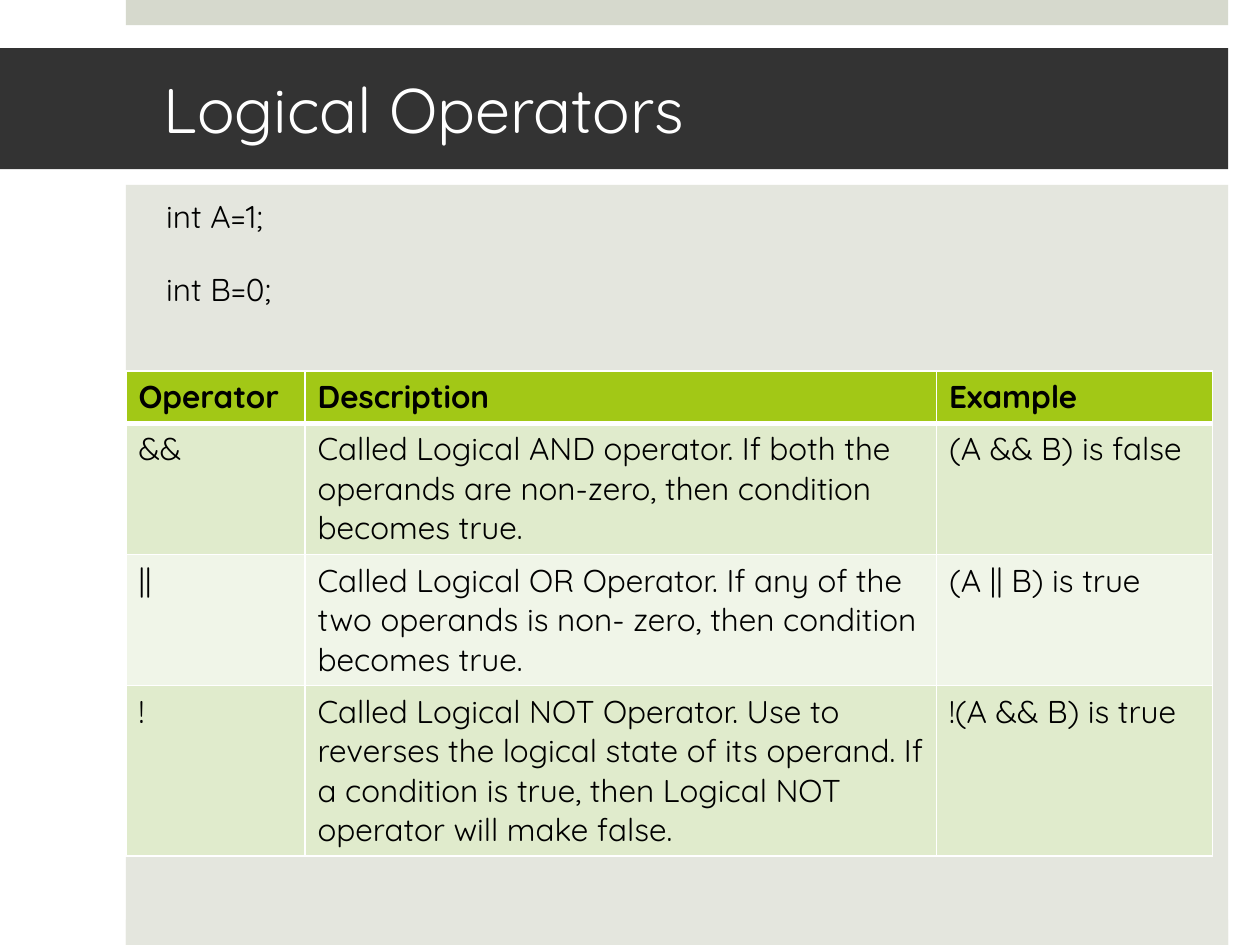
from lxml import etree
from pptx import Presentation
from pptx.dml.color import RGBColor
from pptx.enum import shapes, text
from pptx.oxml import ns
from pptx.util import Cm, Pt

FONT = "Quicksand"
CONTENT_LEFT, CONTENT_WIDTH = 2.54, 22.22
COLUMN_WIDTHS = (3.61, 12.73, 5.56)
ROW_HEIGHTS = (1.03, 2.64, 2.64, 3.43)
ROW_FILLS = ("A2C816", "E0EBCC", "F0F5E8", "E0EBCC")
OPERATORS = (
    ("Operator", "Description", "Example"),
    ("&&", "Called Logical AND operator. If both the operands are non-zero, "
     "then condition becomes true.", "(A && B) is false"),
    ("||", "Called Logical OR Operator. If any of the two operands is "
     "non- zero, then condition becomes true.", "(A || B) is true"),
    ("!", "Called Logical NOT Operator. Use to reverses the logical state of "
     "its operand. If a condition is true, then Logical NOT operator will "
     "make false.", "!(A && B) is true"),
)


def color(value):
    return RGBColor.from_string(value)


def set_all(target, values):
    for name, value in values.items():
        setattr(target, name, value)


def style_font(font, size, value, bold=False):
    set_all(font, {"name": FONT, "size": Pt(size), "bold": bold})
    font.color.rgb = color(value)


def add_band(slide, box, fill):
    band = slide.shapes.add_shape(shapes.MSO_SHAPE.RECTANGLE, *map(Cm, box))
    band.shadow.inherit = False
    band.fill.solid()
    band.fill.fore_color.rgb = color(fill)
    band.line.fill.background()
    return band


def write_lines(band, lines, size, value, frame_format, gap=0):
    frame = band.text_frame
    set_all(frame, {"word_wrap": True, **frame_format})
    for index, line in enumerate(lines):
        paragraph = frame.paragraphs[0] if index == 0 else frame.add_paragraph()
        paragraph.text = line
        paragraph.alignment = text.PP_ALIGN.LEFT
        if index:
            paragraph.space_before = Pt(gap)
        style_font(paragraph.font, size, value)


def add_title(slide, box):
    write_lines(add_band(slide, box, "333333"), ["Logical Operators"], 36, "FFFFFF", {
        "vertical_anchor": text.MSO_ANCHOR.MIDDLE,
        "margin_left": Cm(3.3), "margin_right": Cm(0.76),
        "margin_top": Cm(0.13), "margin_bottom": Cm(0.13),
    })


def add_declarations(slide, box):
    write_lines(add_band(slide, box, "E4E6DE"), ["int A=1;", "int B=0;"], 18, "000000", {
        "vertical_anchor": text.MSO_ANCHOR.TOP,
        "margin_left": Cm(0.81), "margin_right": Cm(0.76),
        "margin_top": Cm(0.25), "margin_bottom": Cm(0.25),
    }, gap=20)


def add_borders(cell, widths):
    properties = cell._tc.get_or_add_tcPr()
    for index, (side, width) in enumerate(widths.items()):
        line = etree.Element(ns.qn(f"a:ln{side}"), w=str(Pt(width)))
        fill = etree.SubElement(line, ns.qn("a:solidFill"))
        etree.SubElement(fill, ns.qn("a:srgbClr"), val="FFFFFF")
        properties.insert(index, line)


def add_operator_table(slide, left, top):
    frame = slide.shapes.add_table(
        len(OPERATORS), len(COLUMN_WIDTHS), Cm(left), Cm(top),
        Cm(sum(COLUMN_WIDTHS)), Cm(sum(ROW_HEIGHTS)))
    table = frame.table
    for column, width in zip(table.columns, COLUMN_WIDTHS):
        column.width = Cm(width)
    for row_index, (row, height) in enumerate(zip(table.rows, ROW_HEIGHTS)):
        row.height = Cm(height)
        for cell, words in zip(row.cells, OPERATORS[row_index]):
            cell.text = words
            style_font(cell.text_frame.paragraphs[0].font, 18, "000000", row_index == 0)
            cell.fill.solid()
            cell.fill.fore_color.rgb = color(ROW_FILLS[row_index])
            add_borders(cell, {"L": 1, "R": 1, "T": 3 if row_index == 1 else 1,
                               "B": 3 if row_index == 0 else 1})


def main():
    deck = Presentation()
    set_all(deck, {"slide_width": Cm(25.4), "slide_height": Cm(19.05)})
    slide = deck.slides.add_slide(deck.slide_layouts[6])
    add_band(slide, (CONTENT_LEFT, 0, CONTENT_WIDTH, 0.51), "D6D9CD")
    add_band(slide, (CONTENT_LEFT, 18.54, CONTENT_WIDTH, 0.51), "E4E6DE")
    add_title(slide, (0, 0.97, CONTENT_LEFT + CONTENT_WIDTH, 2.44))
    add_declarations(slide, (CONTENT_LEFT, 3.73, CONTENT_WIDTH, 15.32))
    add_operator_table(slide, CONTENT_LEFT, 7.48)
    deck.save("out.pptx")


if __name__ == "__main__":
    main()
